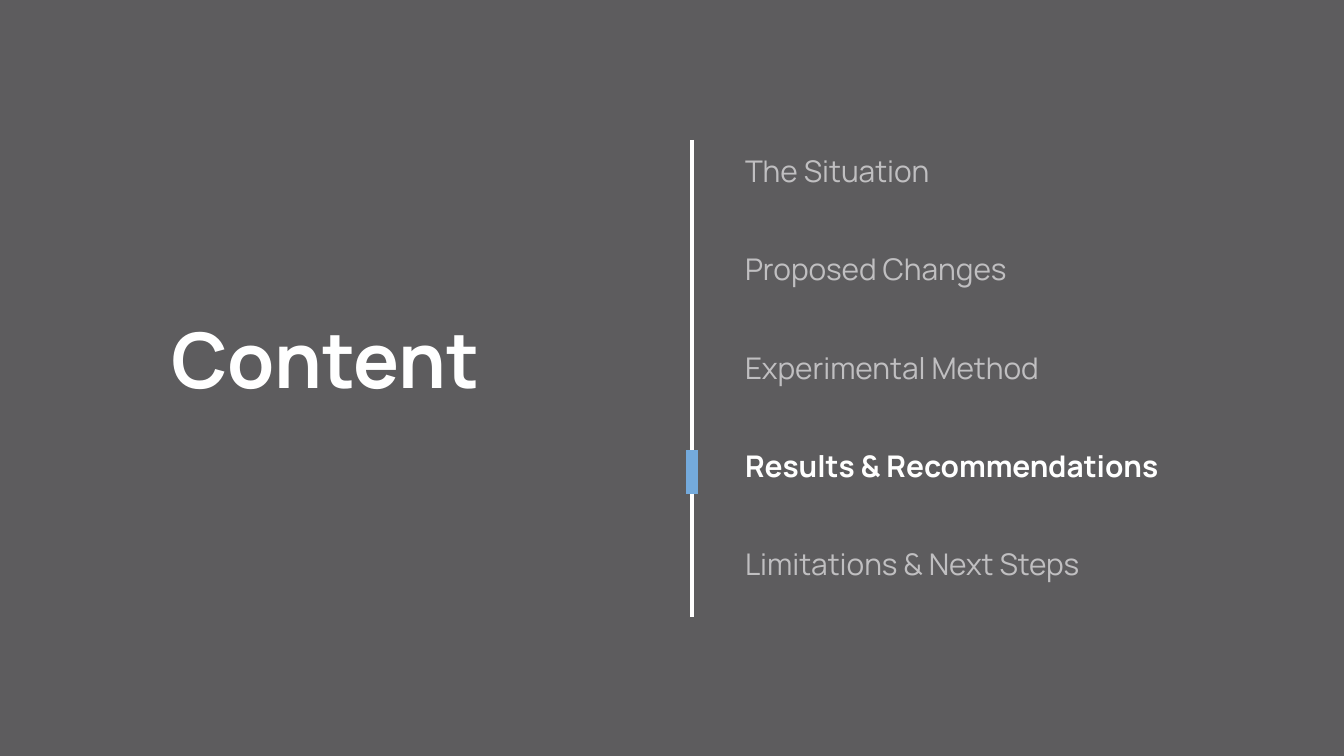
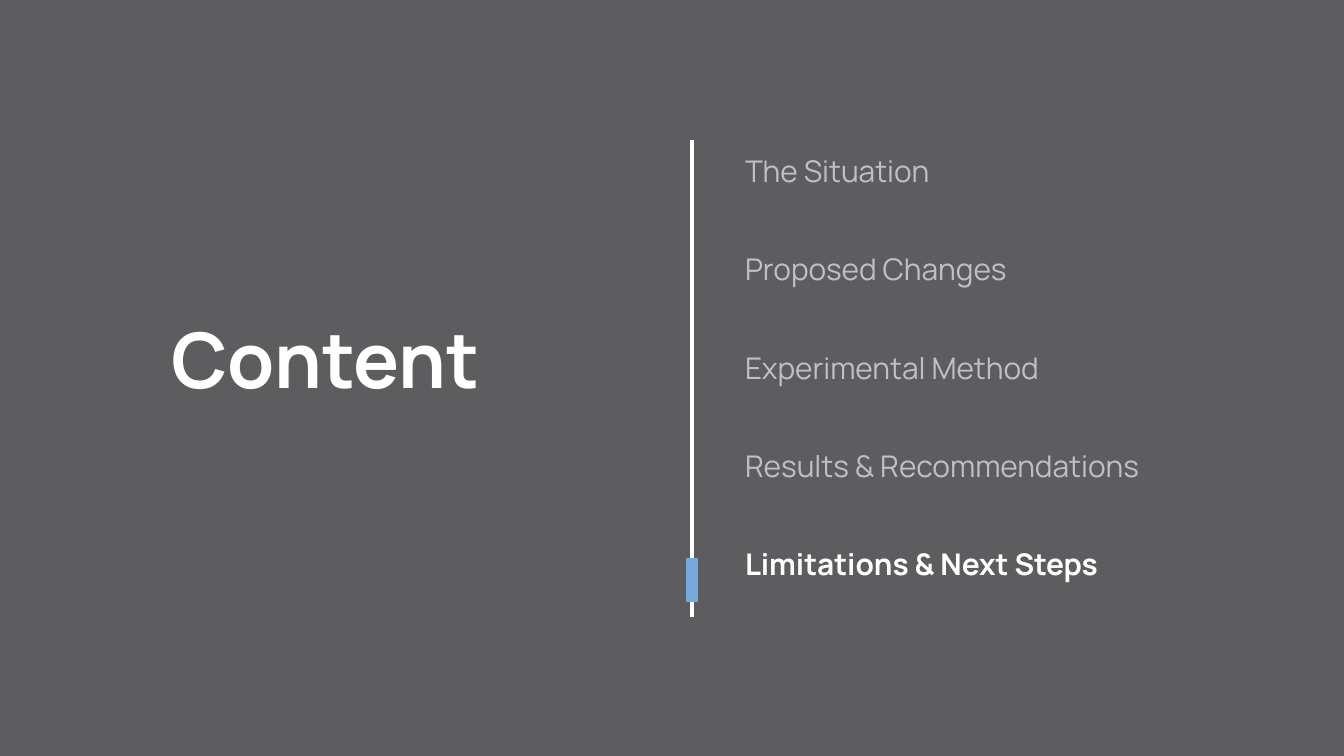
from dataclasses import dataclass
from lxml.etree import SubElement
from pptx import Presentation
from pptx.dml.color import RGBColor as RGB
from pptx.enum.shapes import MSO_CONNECTOR as Connector
from pptx.enum.text import MSO_ANCHOR as Anchor, MSO_AUTO_SIZE as AutoSize, PP_ALIGN as Align
from pptx.oxml.ns import qn
from pptx.util import Pt

HEADING = "Content"
SECTIONS = [
    "The Situation",
    "Proposed Changes",
    "Experimental Method",
    "Results & Recommendations",
    "Limitations & Next Steps",
]
AGENDAS = [
    {"current": "Results & Recommendations", "marker_top": 450},
    {"current": "Limitations & Next Steps", "marker_top": 558},
]

SLIDE_SIZE = (1344, 756)
HEADING_BOX = (168, 327, 396, 79)
SECTIONS_BOX = (742, 148, 554, 445)
RAIL_X, RAIL_TOP, RAIL_BOTTOM = 692, 140, 617
MARKER_HEIGHT = 44
INSET = 3


@dataclass(frozen=True)
class Theme:
    font: str = "Manrope"
    background: RGB = RGB(0x5D, 0x5C, 0x5E)
    strong: RGB = RGB(0xFF, 0xFF, 0xFF)
    muted: RGB = RGB(0xC0, 0xBF, 0xC1)
    accent: RGB = RGB(0x74, 0xAA, 0xDC)
    heading_size: int = 41
    section_size: int = 16
    line_spacing: float = 0.8
    section_gap: float = 37.4
    rail_width: float = 2.25
    marker_width: float = 6


THEME = Theme()


def px(length):
    return round(length * 914400 / 134.4)


def place(holder, box):
    holder.left, holder.top, holder.width, holder.height = map(px, box)
    frame = holder.text_frame
    frame.word_wrap = True
    frame.auto_size = AutoSize.NONE
    frame.vertical_anchor = Anchor.MIDDLE
    frame.margin_left = frame.margin_right = px(INSET)
    frame.margin_top = frame.margin_bottom = px(INSET)
    return frame


def write(paragraph, wording, size, current, gap=0):
    paragraph.text = wording
    paragraph.alignment = Align.LEFT
    paragraph.line_spacing = THEME.line_spacing
    paragraph.space_before = Pt(gap)
    paragraph.space_after = Pt(0)
    font = paragraph.font
    font.name = THEME.font
    font.size = Pt(size)
    font.bold = current
    font.color.rgb = THEME.strong if current else THEME.muted


def remove_bullet(paragraph):
    properties = paragraph._p.get_or_add_pPr()
    properties.set("marL", "0")
    properties.set("indent", "0")
    SubElement(properties, qn("a:buNone"))


def add_rule(slide, top, bottom, color, width):
    rule = slide.shapes.add_connector(
        Connector.STRAIGHT, px(RAIL_X), px(top), px(RAIL_X), px(bottom))
    rule.line.color.rgb = color
    rule.line.width = Pt(width)
    SubElement(rule._element.spPr, qn("a:effectLst"))


def add_agenda(deck, current, marker_top):
    slide = deck.slides.add_slide(deck.slide_layouts[1])
    heading = place(slide.shapes.title, HEADING_BOX)
    write(heading.paragraphs[0], HEADING, THEME.heading_size, True)

    sections = place(slide.placeholders[1], SECTIONS_BOX)
    for number, section in enumerate(SECTIONS):
        entry = sections.add_paragraph() if number else sections.paragraphs[0]
        remove_bullet(entry)
        write(entry, section, THEME.section_size, section == current,
              THEME.section_gap if number else 0)

    add_rule(slide, RAIL_TOP, RAIL_BOTTOM, THEME.strong, THEME.rail_width)
    add_rule(slide, marker_top, marker_top + MARKER_HEIGHT,
             THEME.accent, THEME.marker_width)


def main():
    deck = Presentation()
    deck.slide_width, deck.slide_height = map(px, SLIDE_SIZE)
    backdrop = deck.slide_master.background.fill
    backdrop.solid()
    backdrop.fore_color.rgb = THEME.background
    for agenda in AGENDAS:
        add_agenda(deck, **agenda)
    deck.save("out.pptx")


if __name__ == "__main__":
    main()
